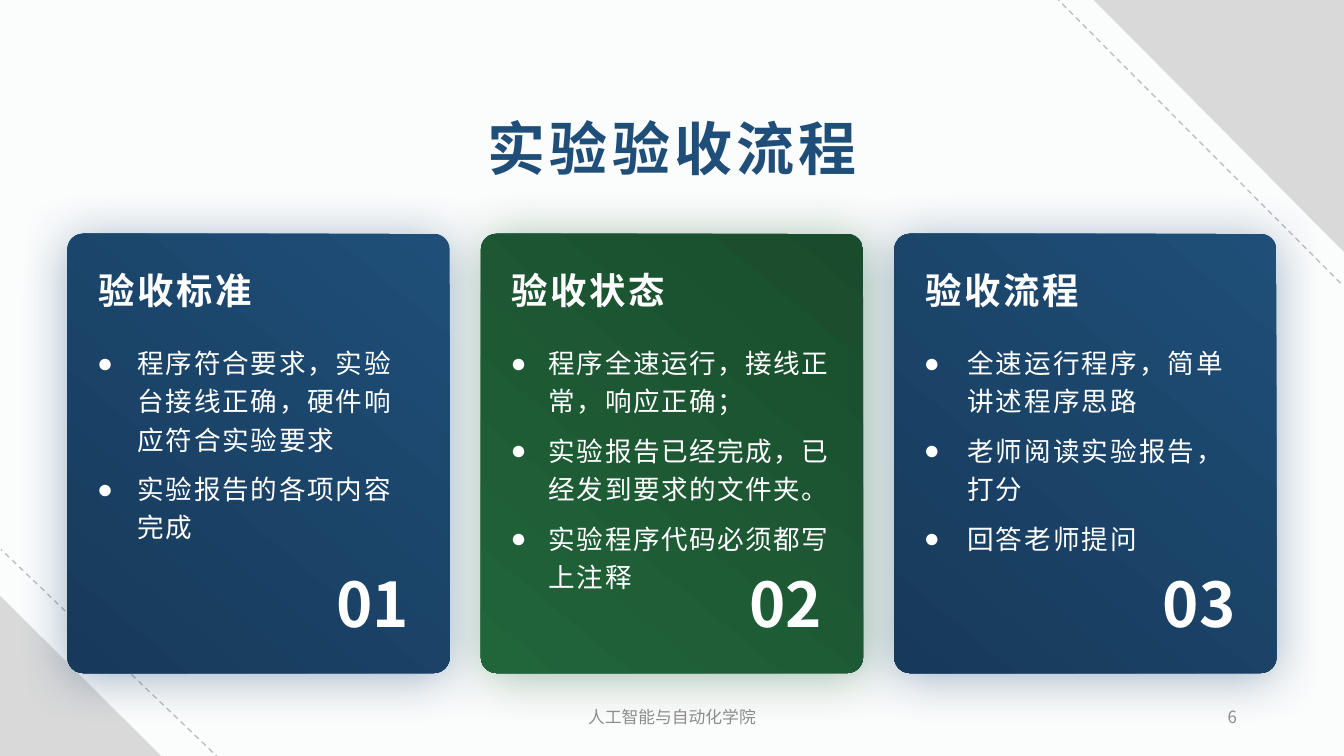
from lxml.etree import SubElement
from pptx import Presentation
from pptx.dml.color import RGBColor
from pptx.enum.dml import MSO_LINE
from pptx.enum.shapes import MSO_CONNECTOR, MSO_SHAPE
from pptx.enum.text import MSO_ANCHOR, MSO_AUTO_SIZE, PP_ALIGN
from pptx.oxml.ns import qn
from pptx.util import Pt

THEME = {
    "font": "Noto Sans CJK SC",
    "paper": "FBFCFC", "corner": "D9D9D9", "dash": "BFBFBF",
    "blue": ("1F4E78", "173A5A"), "green": ("194C2C", "21653B"),
    "title": {"size": 41.4, "color": "1F4E78", "bold": True, "tracking": 3},
    "heading": {"size": 26, "color": "FFFFFF", "bold": True, "tracking": 1.8},
    "list": {"size": 19, "color": "FFFFFF", "bold": False, "tracking": 0},
    "number": {"size": 44, "color": "FFFFFF", "bold": True, "tracking": 0},
    "footer": {"size": 12, "color": "8C8C8C", "bold": False, "tracking": 0},
}


def place(box, left, top, width, height):
    bounds = {"left": left, "top": top, "width": width, "height": height}
    for name, value in bounds.items():
        setattr(box, name, Pt(value))


def write(box, lines, style, anchor=MSO_ANCHOR.TOP, align=PP_ALIGN.LEFT,
          margins=(7.2, 3.6), hang=0, spacing=1.0, after=0):
    frame = box.text_frame
    frame_format = {
        "word_wrap": True, "auto_size": MSO_AUTO_SIZE.NONE, "vertical_anchor": anchor,
        "margin_left": Pt(margins[0]), "margin_right": Pt(margins[0]),
        "margin_top": Pt(margins[1]), "margin_bottom": Pt(margins[1]),
    }
    for name, value in frame_format.items():
        setattr(frame, name, value)
    for index, line in enumerate(lines):
        para = frame.add_paragraph() if index else frame.paragraphs[0]
        para_format = {"alignment": align, "line_spacing": spacing,
                       "space_before": Pt(0), "space_after": Pt(after)}
        for name, value in para_format.items():
            setattr(para, name, value)
        if hang:
            properties = para._p.get_or_add_pPr()
            properties.set("marL", str(Pt(hang)))
            properties.set("indent", str(-Pt(hang)))
            SubElement(properties, qn("a:buFont"), typeface="Arial")
            SubElement(properties, qn("a:buChar"), char="●")
        span = para.add_run()
        span.text = line
        font_format = {"name": THEME["font"], "size": Pt(style["size"]), "bold": style["bold"]}
        for name, value in font_format.items():
            setattr(span.font, name, value)
        span.font.color.rgb = RGBColor.from_string(style["color"])
        run_properties = span._r.get_or_add_rPr()
        run_properties.set("spc", str(round(style["tracking"] * 100)))
        SubElement(run_properties, qn("a:ea"), typeface=THEME["font"])


# Page: title and three body placeholders from the comparison layout
deck = Presentation()
deck.slide_width, deck.slide_height = Pt(960), Pt(540)
page = deck.slides.add_slide(deck.slide_layouts[4])
page.background.fill.solid()
page.background.fill.fore_color.rgb = RGBColor.from_string(THEME["paper"])
shapes = page.shapes
title, *list_boxes, spare = page.placeholders
spare.element.getparent().remove(spare.element)

# Grey corners
outline = shapes.build_freeform(Pt(781.2), Pt(0), scale=1.0)
outline.add_line_segments([(Pt(960), Pt(0)), (Pt(960), Pt(180))], close=True)
lower_corner = shapes.add_shape(MSO_SHAPE.RIGHT_TRIANGLE, Pt(0), Pt(425.5), Pt(115.2), Pt(114.5))
for corner in (outline.convert_to_shape(), lower_corner):
    corner.shadow.inherit = False
    corner.fill.solid()
    corner.fill.fore_color.rgb = RGBColor.from_string(THEME["corner"])
    corner.line.fill.background()

# Dashed diagonals
for ends in ((957.6, 202.3, 756, 0), (157, 542.2, 0.7, 392.4)):
    diagonal = shapes.add_connector(MSO_CONNECTOR.STRAIGHT, *(Pt(end) for end in ends))
    diagonal.line.color.rgb = RGBColor.from_string(THEME["dash"])
    diagonal.line.width = Pt(1)
    diagonal.line.dash_style = MSO_LINE.DASH
    SubElement(diagonal._element.spPr, qn("a:effectLst"))

# Title
place(title, 48.2, 77.8, 864, 59.8)
write(title, ["实验验收流程"], THEME["title"], align=PP_ALIGN.CENTER, margins=(5, 2.5))

# Cards: heading, colours, glow colour, glow angle, hanging indent, tracking, items
cards = [
    ("验收标准", "blue", "1F4E78", 95, 28.8, 1.3,
     ["程序符合要求，实验台接线正确，硬件响应符合实验要求", "实验报告的各项内容完成"]),
    ("验收状态", "green", "21653B", 45, 27.4, 1.1,
     ["程序全速运行，接线正常，响应正确；", "实验报告已经完成，已经发到要求的文件夹。",
      "实验程序代码必须都写上注释"]),
    ("验收流程", "blue", "1F4E78", 95, 31, 1.5,
     ["全速运行程序，简单讲述程序思路", "老师阅读实验报告，打分", "回答老师提问"]),
]
for index, (heading, colors, glow, angle, hang, tracking, items) in enumerate(cards):
    left = 48.2 + index * 295.3
    card = shapes.add_shape(MSO_SHAPE.ROUNDED_RECTANGLE, Pt(left), Pt(167), Pt(273), Pt(313.8))
    card.adjustments[0] = 0.041
    card.line.fill.background()
    card.fill.gradient()
    card.fill.gradient_angle = 230
    for stop, color in zip(card.fill.gradient_stops, THEME[colors]):
        stop.color.rgb = RGBColor.from_string(color)
    card.shadow.inherit = False
    effects = card._element.spPr.find(qn("a:effectLst"))
    shadow = SubElement(effects, qn("a:outerShdw"), blurRad=str(Pt(36)), dist=str(Pt(4)),
                        dir=str(angle * 60000), algn="ctr", rotWithShape="0")
    shadow_color = SubElement(shadow, qn("a:srgbClr"), val=glow)
    SubElement(shadow_color, qn("a:alpha"), val="41000")

    heading_box = shapes.add_textbox(Pt(left + 15.1), Pt(180), Pt(244.8), Pt(54.7))
    write(heading_box, [heading], THEME["heading"], anchor=MSO_ANCHOR.MIDDLE)

    list_box = list_boxes[index]
    place(list_box, left + 14, 239.8, 244.8, 190)
    write(list_box, items, THEME["list"] | {"tracking": tracking},
          hang=hang, spacing=1.2, after=8)
    shapes._spTree.append(list_box.element)

    number_box = shapes.add_textbox(Pt(left + 184.8), Pt(401), Pt(87.8), Pt(79.2))
    write(number_box, [f"{index + 1:02}"], THEME["number"])

# Footer and page number
for text, left, width, align in (("人工智能与自动化学院", 324, 312, PP_ALIGN.CENTER),
                                 ("6", 678.2, 212.4, PP_ALIGN.RIGHT)):
    footer = shapes.add_textbox(Pt(left), Pt(499.7), Pt(width), Pt(25.2))
    write(footer, [text], THEME["footer"], anchor=MSO_ANCHOR.MIDDLE, align=align)

deck.save("out.pptx")
